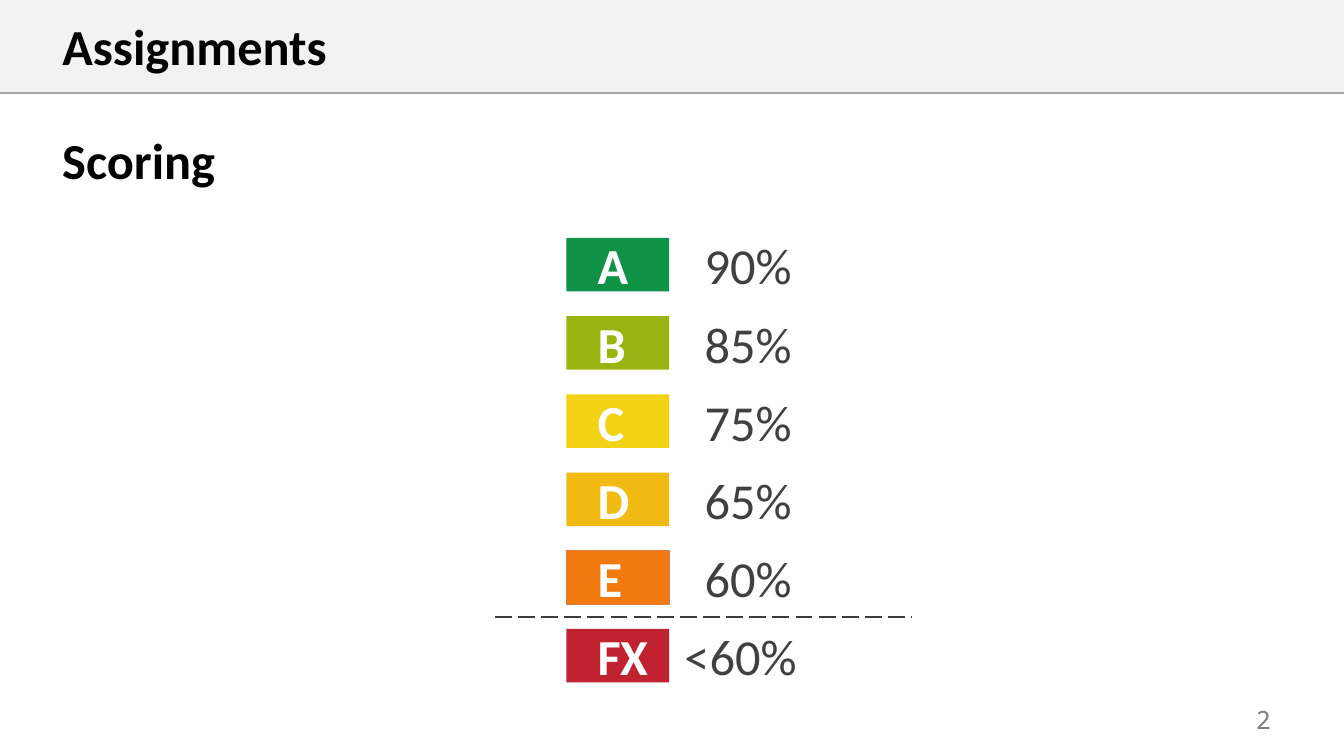
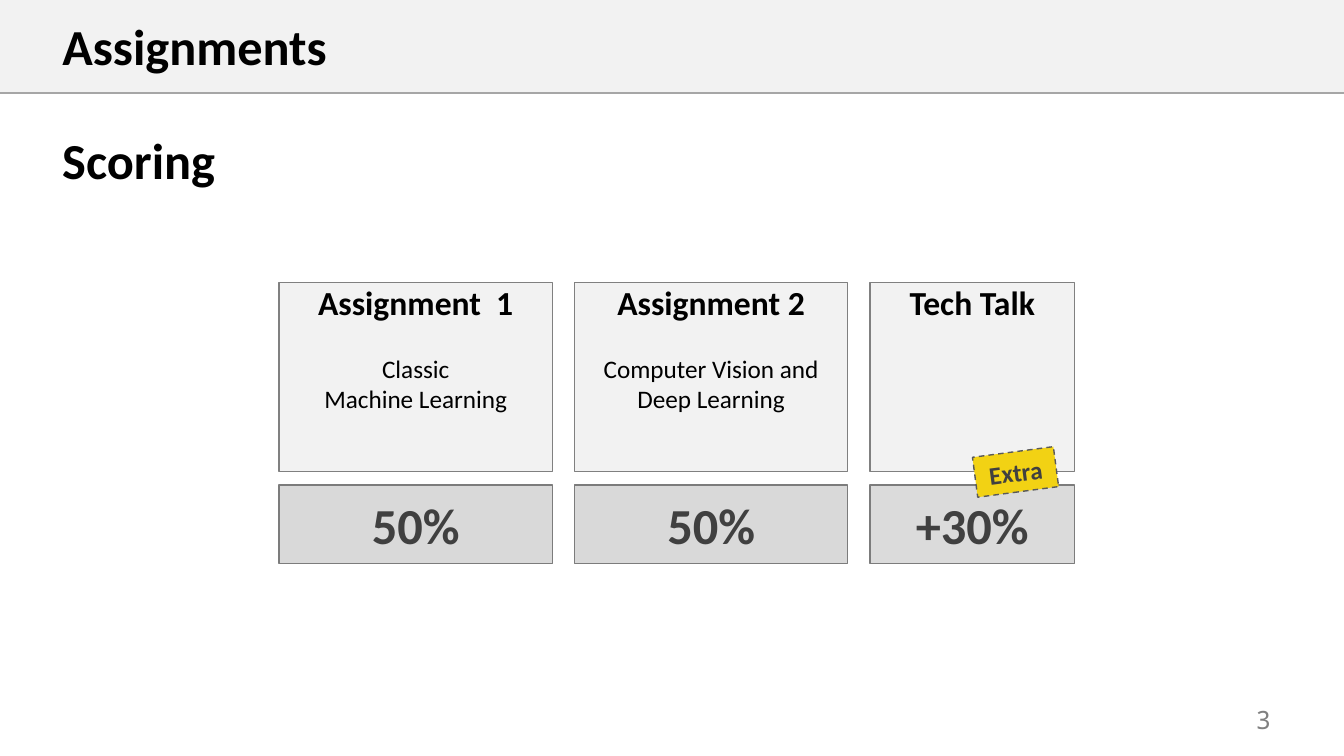
from copy import deepcopy

from pptx import Presentation
from pptx.dml.color import RGBColor
from pptx.enum.dml import MSO_LINE
from pptx.enum.shapes import MSO_CONNECTOR, MSO_SHAPE, PP_PLACEHOLDER
from pptx.enum.text import MSO_ANCHOR, MSO_AUTO_SIZE, PP_ALIGN
from pptx.oxml.ns import qn
from pptx.util import Pt

WIDTH, HEIGHT = 960, 540
MARGIN = 37.4
BAND_HEIGHT = 66.4
FONT, NUMBER_FONT = "Calibri", "Noto Sans Mono"
BLACK, WHITE, DARK, GREY = "000000", "FFFFFF", "404040", "808080"
PALE, YELLOW = "F2F2F2", "F2D214"

GRADES = [
    ("A", "90%", "0F9246"),
    ("B", "85%", "99B410"),
    ("C", "75%", YELLOW),
    ("D", "65%", "F2BB13"),
    ("E", "60%", "F2790F"),
    ("FX", "<60%", "C0222F"),
]
# Heading, topic lines, share of the score, share fill, column width
PARTS = [
    ("Assignment  1", ["Classic", "Machine Learning"], "50%", "D9D9D9", 195.2),
    ("Assignment 2", ["Computer Vision and", "Deep Learning"], "50%", "D9D9D9", 195.2),
    ("Tech Talk", [], "+30%", "DBDBDB", 146.2),
]


def rgb(color):
    return RGBColor.from_string(color)


def place(shape, left, top, width, height):
    shape.left, shape.top = Pt(left), Pt(top)
    shape.width, shape.height = Pt(width), Pt(height)


def style_frame(frame, anchor, insets=None):
    frame.word_wrap = True
    frame.auto_size = MSO_AUTO_SIZE.NONE
    frame.vertical_anchor = anchor
    if insets:
        (frame.margin_left, frame.margin_top,
         frame.margin_right, frame.margin_bottom) = map(Pt, insets)


def style_paragraph(paragraph, size, color, bold=False, align=PP_ALIGN.LEFT, font=FONT):
    paragraph.alignment = align
    paragraph.font.name = font
    paragraph.font.size = Pt(size)
    paragraph.font.bold = bold
    paragraph.font.color.rgb = rgb(color)


def add_label(slide, box, text, size, color, bold=False,
              anchor=MSO_ANCHOR.MIDDLE, insets=None):
    label = slide.shapes.add_textbox(*map(Pt, box))
    style_frame(label.text_frame, anchor, insets)
    label.text_frame.text = text
    style_paragraph(label.text_frame.paragraphs[0], size, color, bold)


def add_box(slide, box, fill, outline=None):
    shape = slide.shapes.add_shape(MSO_SHAPE.RECTANGLE, *map(Pt, box))
    shape.shadow.inherit = False
    shape.fill.solid()
    shape.fill.fore_color.rgb = rgb(fill)
    if outline:
        shape.line.color.rgb = rgb(outline)
        shape.line.width = Pt(1)
    else:
        shape.line.fill.background()
    return shape


def add_text_box(slide, box, fill, outline, text, size, color,
                 align=PP_ALIGN.CENTER, anchor=MSO_ANCHOR.MIDDLE, inset_left=0):
    shape = add_box(slide, box, fill, outline)
    style_frame(shape.text_frame, anchor, (inset_left, 0, 0, 0))
    shape.text_frame.text = text
    style_paragraph(shape.text_frame.paragraphs[0], size, color, True, align)
    return shape


def add_rule(slide, left, right, y, color, width):
    rule = slide.shapes.add_connector(
        MSO_CONNECTOR.STRAIGHT, Pt(left), Pt(y), Pt(right), Pt(y))
    rule.line.color.rgb = rgb(color)
    rule.line.width = Pt(width)
    properties = rule._element.spPr
    properties.append(properties.makeelement(qn("a:effectLst"), {}))
    return rule


def move_header_to_layout(slide):
    """Draw the header band and its rule, then hand them to the layout."""
    band = add_box(slide, (0, 0, WIDTH, BAND_HEIGHT), PALE)
    rule = add_rule(slide, 0, WIDTH, BAND_HEIGHT, "A6A6A6", 1)
    layout_tree = slide.slide_layout.shapes._spTree
    for position, part in enumerate((band, rule)):
        part._element.xpath("./*/p:cNvPr")[0].set("id", str(101 + position))
        layout_tree.insert(2 + position, part._element)


def add_slide_number(slide, number):
    source = next(holder for holder in slide.slide_layout.placeholders
                  if holder.placeholder_format.type == PP_PLACEHOLDER.SLIDE_NUMBER)
    slide.shapes._spTree.append(deepcopy(source._element))
    page = slide.shapes[-1]
    place(page, 871.2, 502.6, 62.6, 22.3)
    style_frame(page.text_frame, MSO_ANCHOR.MIDDLE)
    page.text_frame.text = str(number)
    style_paragraph(page.text_frame.paragraphs[0], 18, GREY,
                    align=PP_ALIGN.CENTER, font=NUMBER_FONT)


def add_content_slide(prs, title, subtitle, number):
    slide = prs.slides.add_slide(prs.slide_layouts.get_by_name("Title Only"))
    heading = slide.shapes.title
    place(heading, MARGIN, 7.2, 882.7, 51.1)
    style_frame(heading.text_frame, MSO_ANCHOR.TOP)
    heading.text_frame.text = title
    style_paragraph(heading.text_frame.paragraphs[0], 36, BLACK, True)
    add_slide_number(slide, number)
    add_label(slide, (MARGIN, 88.6, 254.9, 51.1), subtitle, 36, BLACK, True,
              MSO_ANCHOR.TOP)
    return slide


def add_grade_scale(slide, left, top, width, height):
    row_height, badge_width, badge_left = 38.2, 73.4, left + 51.1
    pitch = (height - row_height) / (len(GRADES) - 1)
    for row, (grade, score, color) in enumerate(GRADES):
        y = top + row * pitch
        score_left = left + (135.4 if score.startswith("<") else 149.8)
        outline = "DE7B41" if grade == "E" else None
        add_label(slide, (score_left, y, 129.6, row_height), score, 36, DARK,
                  insets=(0, 0, 17.3, 0))
        add_text_box(slide, (badge_left, y, badge_width, row_height), color, outline,
                     grade, 36, WHITE, PP_ALIGN.LEFT, inset_left=22.3)
    pass_mark = top + height - row_height - (pitch - row_height) / 2
    threshold = add_rule(slide, left, left + width, pass_mark, "3D3D3D", 1.5)
    threshold.line.dash_style = MSO_LINE.LONG_DASH


def add_score_parts(slide, left, top, height):
    card_height, share_height, gap = 135.4, 56.2, 15.8
    share_top = top + height - share_height
    x = left
    for heading, topic, share, share_fill, width in PARTS:
        card = add_text_box(slide, (x, top, width, card_height), PALE, GREY,
                            heading, 24, BLACK, anchor=MSO_ANCHOR.TOP)
        for index, line in enumerate(topic):
            paragraph = card.text_frame.add_paragraph()
            paragraph.text = line
            style_paragraph(paragraph, 18, BLACK, align=PP_ALIGN.CENTER)
            if index == 0:
                paragraph.space_before = Pt(22)
        add_text_box(slide, (x, share_top, width, share_height), share_fill, "7C7C7C",
                     share, 36, DARK)
        x += width + gap
    right = x - gap
    extra = add_text_box(slide, (right - 71.3, share_top - 23.7, 58.3, 28.8),
                         YELLOW, "595959", "Extra", 18, DARK)
    extra.line.dash_style = MSO_LINE.DASH
    extra.rotation = 352.5


def main():
    prs = Presentation()
    prs.slide_width, prs.slide_height = Pt(WIDTH), Pt(HEIGHT)
    grades = add_content_slide(prs, "Assignments", "Scoring", 2)
    move_header_to_layout(grades)
    add_grade_scale(grades, 353.5, 170, 298.1, 317.5)
    parts = add_content_slide(prs, "Assignments", "Scoring", 3)
    add_score_parts(parts, 199.4, 201.6, 201)
    prs.save("out.pptx")


if __name__ == "__main__":
    main()
